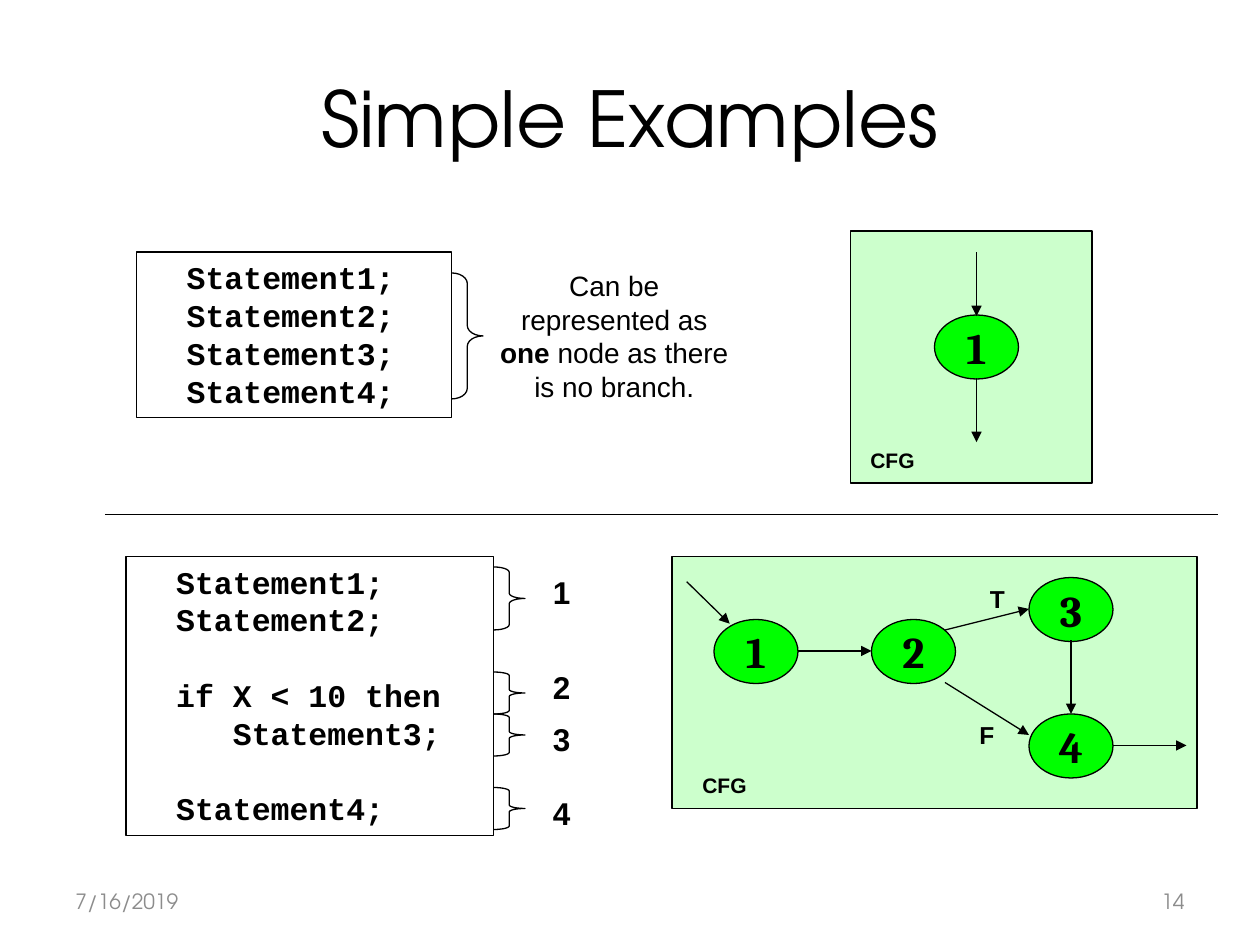
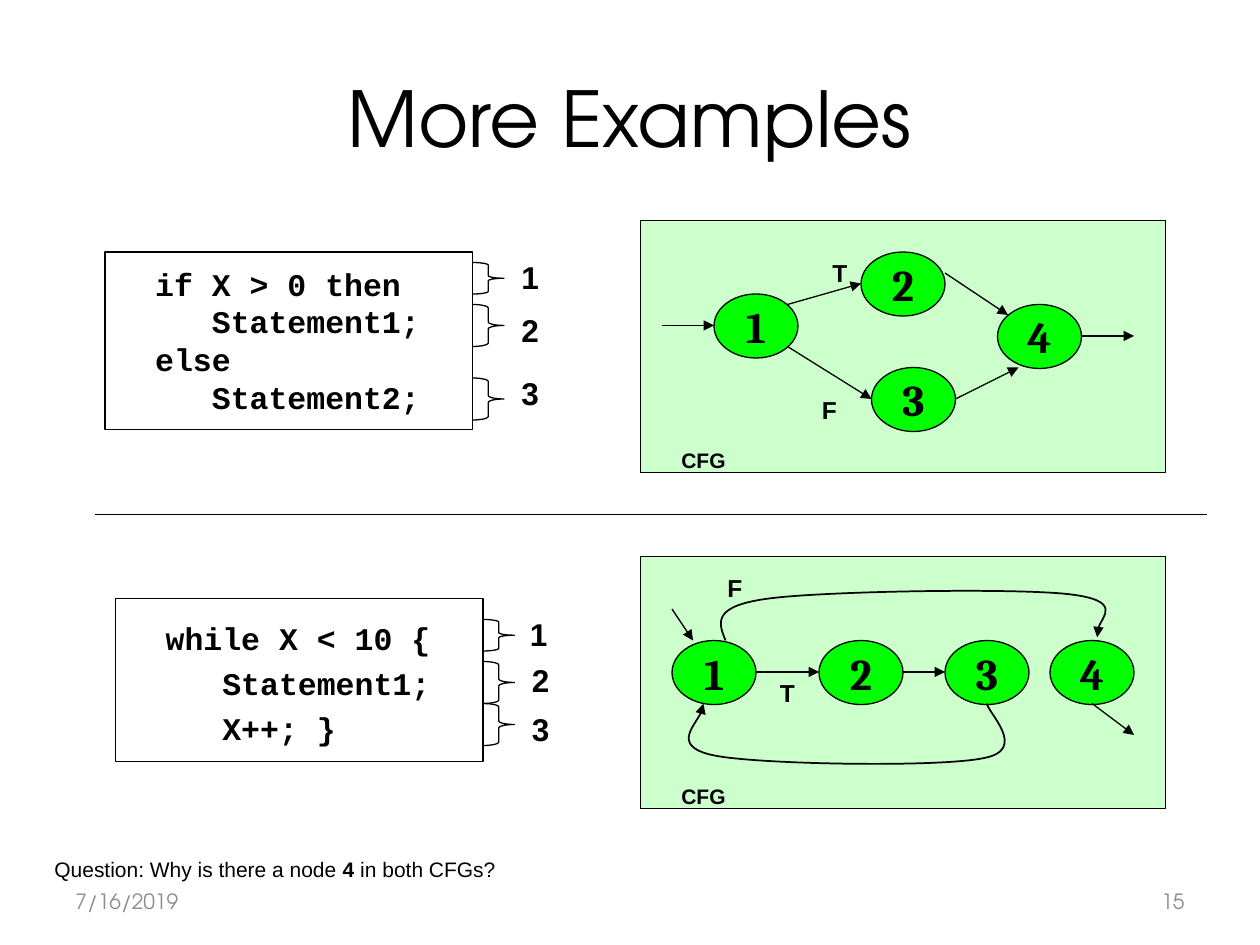
from dataclasses import dataclass, field
from typing import Any, NamedTuple

import lxml.etree
import pptx
import pptx.dml.color
import pptx.enum.shapes
import pptx.enum.text
import pptx.oxml.ns
import pptx.util

PX = 7620  # EMU, 120 px to the inch
qn = pptx.oxml.ns.qn
ALIGN = pptx.enum.text.PP_ALIGN
ANCHOR = pptx.enum.text.MSO_ANCHOR
SHAPE = pptx.enum.shapes.MSO_SHAPE


@dataclass(frozen=True)
class TextStyle:
    name: str
    size: int
    bold: bool = False
    color: str = "000000"


@dataclass(frozen=True)
class Theme:
    ink: str = "000000"
    panel: str = "CCFFCC"
    node: str = "00FF00"
    thin: float = 0.75
    thick: float = 1
    code_gap: float = 21.5
    title: TextStyle = TextStyle("TeX Gyre Adventor", 44)
    footer: TextStyle = TextStyle("TeX Gyre Adventor", 12, color="8C8C8C")
    code: TextStyle = TextStyle("Courier New", 18, True)
    node_text: TextStyle = TextStyle("Cambria", 25, True)
    block_number: TextStyle = TextStyle("Arial", 18, True)
    branch: TextStyle = TextStyle("Arial", 14, True)
    caption: TextStyle = TextStyle("Arial", 12, True)
    note: TextStyle = TextStyle("Arial", 16)
    question: TextStyle = TextStyle("Arial", 12)


THEME = Theme()
NODE_W, NODE_H = 80, 61
BRACE_W = 30


class Box(NamedTuple):
    x: int
    y: int
    w: int
    h: int


class Label(NamedTuple):
    text: str
    x: int
    y: int


class Arrow(NamedTuple):
    x1: int
    y1: int
    x2: int
    y2: int


class Brace(NamedTuple):
    y: int
    h: int


class Note(NamedTuple):
    """Text in runs; every second run is bold."""
    runs: list[str]
    box: Box
    style: TextStyle
    align: Any


@dataclass
class Code:
    box: Box
    lines: list[str]
    braces: list[Brace]
    numbers: list[Label] = field(default_factory=list)
    pad: int = 6
    spacing: float | None = None


@dataclass
class Graph:
    panel: Box
    caption: Label
    nodes: list[Label]
    arrows: list[Arrow]
    branches: list[Label] = field(default_factory=list)
    curves: list[list[tuple[int, int]]] = field(default_factory=list)


@dataclass
class Page:
    title: str
    number: int
    divider: Arrow
    codes: list[Code]
    graphs: list[Graph]
    note: Note


def rgb(color: str) -> pptx.dml.color.RGBColor:
    return pptx.dml.color.RGBColor.from_string(color)


def emu(values: Any) -> list[int]:
    return [v * PX for v in values]


def assign(obj: Any, values: dict[str, Any]) -> None:
    for name, value in values.items():
        setattr(obj, name, value)


def write(p: Any, text: str, style: TextStyle, bold: bool = False) -> None:
    r = p.add_run()
    r.text = text
    assign(r.font, {"name": style.name, "size": pptx.util.Pt(style.size),
                    "bold": style.bold or bold})
    r.font.color.rgb = rgb(style.color)


def outline(sp: Any, width: float, arrow: bool = False) -> None:
    sp.line.color.rgb = rgb(THEME.ink)
    sp.line.width = pptx.util.Pt(width)
    if arrow:
        ln = sp.element.find(".//" + qn("a:ln"))
        lxml.etree.SubElement(ln, qn("a:tailEnd"), type="triangle")


def add_shape(s: Any, kind: Any, box: Box, width: float, fill: str | None = None) -> Any:
    sp = s.shapes.add_shape(kind, *emu(box))
    sp.shadow.inherit = False
    if fill:
        sp.fill.solid()
        sp.fill.fore_color.rgb = rgb(fill)
    else:
        sp.fill.background()
    outline(sp, width)
    return sp


def add_text(s: Any, runs: list[str], box: Box, style: TextStyle,
             align: Any = ALIGN.CENTER, anchor: Any = ANCHOR.TOP) -> None:
    tf = s.shapes.add_textbox(*emu(box)).text_frame
    assign(tf, {"word_wrap": True, "vertical_anchor": anchor})
    p = tf.paragraphs[0]
    p.alignment = align
    for i, text in enumerate(runs):
        write(p, text, style, bold=i % 2 == 1)


def add_label(s: Any, label: Label, w: int, h: int, style: TextStyle) -> None:
    add_text(s, [label.text], Box(label.x, label.y, w, h), style)


def add_line(s: Any, line: Arrow, width: float, arrow: bool) -> None:
    cx = s.shapes.add_connector(pptx.enum.shapes.MSO_CONNECTOR.STRAIGHT, *emu(line))
    outline(cx, width, arrow)
    lxml.etree.SubElement(cx.element.spPr, qn("a:effectLst"))


def add_curve(s: Any, points: list[tuple[int, int]]) -> None:
    """Draw a Bezier arrow: a start point, then three points per curve."""
    start, *rest = [tuple(emu(point)) for point in points]
    builder = s.shapes.build_freeform(*start)
    builder.add_line_segments(rest, close=False)
    sp = builder.convert_to_shape()
    sp.shadow.inherit = False
    sp.fill.background()
    outline(sp, THEME.thick, arrow=True)
    trace = sp.element.find(".//" + qn("a:path"))
    for i, segment in enumerate(trace.findall(qn("a:lnTo"))):
        if i % 3 == 0:
            bezier = lxml.etree.SubElement(trace, qn("a:cubicBezTo"))
        bezier.append(segment[0])
        trace.remove(segment)


def add_code(s: Any, code: Code) -> None:
    """Draw a listing with its braces; an empty line becomes space before the next."""
    tf = add_shape(s, SHAPE.RECTANGLE, code.box, THEME.thin).text_frame
    assign(tf, {"word_wrap": True, "vertical_anchor": ANCHOR.TOP,
                "margin_top": code.pad * PX, "margin_bottom": code.pad * PX})
    p = tf.paragraphs[0]
    for i, line in enumerate(code.lines):
        if not line:
            continue
        if i:
            p = tf.add_paragraph()
            if not code.lines[i - 1]:
                p.space_before = pptx.util.Pt(THEME.code_gap)
        assign(p, {"alignment": ALIGN.LEFT, "line_spacing": code.spacing})
        write(p, line, THEME.code)
    for brace in code.braces:
        box = Box(code.box.x + code.box.w, brace.y, BRACE_W, brace.h)
        sp = add_shape(s, SHAPE.RIGHT_BRACE, box, THEME.thin)
        sp.adjustments[0] = brace.h / BRACE_W / 12
    for number in code.numbers:
        add_label(s, number, 50, 48, THEME.block_number)


def add_node(s: Any, node: Label) -> None:
    sp = add_shape(s, SHAPE.OVAL, Box(node.x, node.y, NODE_W, NODE_H),
                   THEME.thin, THEME.node)
    tf = sp.text_frame
    assign(tf, {"word_wrap": False, "vertical_anchor": ANCHOR.MIDDLE})
    p = tf.paragraphs[0]
    p.alignment = ALIGN.CENTER
    write(p, node.text, THEME.node_text)


def add_graph(s: Any, graph: Graph) -> None:
    add_shape(s, SHAPE.RECTANGLE, graph.panel, THEME.thick, THEME.panel)
    add_label(s, graph.caption, 80, 36, THEME.caption)
    for node in graph.nodes:
        add_node(s, node)
    for arrow in graph.arrows:
        add_line(s, arrow, THEME.thin, arrow=True)
    for branch in graph.branches:
        add_label(s, branch, 60, 40, THEME.branch)
    for curve in graph.curves:
        add_curve(s, curve)


def add_page(prs: Any, page: Page) -> None:
    s = prs.slides.add_slide(prs.slide_layouts[6])
    add_text(s, ["7/16/2019"], Box(60, 834, 280, 48), THEME.footer, ALIGN.LEFT, ANCHOR.MIDDLE)
    add_text(s, [str(page.number)], Box(860, 834, 280, 48), THEME.footer,
             ALIGN.RIGHT, ANCHOR.MIDDLE)
    add_text(s, [page.title], Box(60, 36, 1080, 150), THEME.title, anchor=ANCHOR.MIDDLE)
    for graph in page.graphs:
        add_graph(s, graph)
    for code in page.codes:
        add_code(s, code)
    add_line(s, page.divider, THEME.thick, arrow=False)
    add_text(s, *page.note)


SIMPLE = Page(
    "Simple Examples", 14, Arrow(100, 490, 1160, 490),
    codes=[
        Code(Box(130, 240, 300, 158), [f"  Statement{i};" for i in range(1, 5)],
             [Brace(260, 120)]),
        Code(Box(120, 530, 350, 266),
             ["  Statement1;", "  Statement2;", "", "  if X < 10 then",
              "     Statement3;", "", "  Statement4;"],
             [Brace(540, 60), Brace(640, 40), Brace(680, 40), Brace(750, 40)],
             [Label("1", 510, 540), Label("2", 510, 630),
              Label("3", 510, 680), Label("4", 510, 750)]),
    ],
    graphs=[
        Graph(Box(810, 220, 230, 240), Label("CFG", 810, 420), [Label("1", 890, 300)],
              [Arrow(930, 240, 930, 301), Arrow(930, 360, 930, 421)]),
        Graph(Box(640, 530, 500, 240), Label("CFG", 650, 730),
              [Label("1", 680, 590), Label("2", 830, 590),
               Label("3", 980, 550), Label("4", 980, 680)],
              [Arrow(654, 554, 695, 594), Arrow(760, 620, 830, 620),
               Arrow(900, 600, 980, 580), Arrow(900, 650, 980, 700),
               Arrow(1020, 610, 1020, 680), Arrow(1060, 710, 1130, 710)],
              [Label("T", 920, 550), Label("F", 910, 680)]),
    ],
    note=Note(["Can be represented as ", "one ", "node as there is no branch."],
              Box(460, 250, 250, 140), THEME.note, ALIGN.CENTER),
)

MORE = Page(
    "More Examples", 15, Arrow(90, 490, 1150, 490),
    codes=[
        Code(Box(100, 240, 350, 169),
             ["  if X > 0 then", "     Statement1;", "  else", "     Statement2;"],
             [Brace(250, 30), Brace(290, 40), Brace(360, 40)],
             [Label("1", 480, 240), Label("2", 480, 290), Label("3", 480, 350)], pad=12),
        Code(Box(110, 570, 350, 155),
             ["  while X < 10 {", "     Statement1;", "     X++; }"],
             [Brace(590, 30), Brace(630, 40), Brace(670, 40)],
             [Label("1", 488, 580), Label("2", 490, 624), Label("3", 490, 670)],
             pad=12, spacing=1.2),
    ],
    graphs=[
        Graph(Box(610, 210, 500, 240), Label("CFG", 630, 420),
              [Label("1", 680, 280), Label("2", 820, 240),
               Label("3", 830, 350), Label("4", 950, 290)],
              [Arrow(630, 310, 680, 310), Arrow(750, 290, 820, 270),
               Arrow(750, 330, 830, 380), Arrow(900, 260, 960, 300),
               Arrow(910, 380, 970, 350), Arrow(1030, 320, 1080, 320)],
              [Label("T", 770, 240), Label("F", 760, 370)]),
        Graph(Box(610, 530, 500, 240), Label("CFG", 630, 740),
              [Label("1", 640, 610), Label("2", 780, 610),
               Label("3", 900, 610), Label("4", 1000, 610)],
              [Arrow(640, 580, 660, 610), Arrow(720, 640, 780, 640),
               Arrow(860, 640, 900, 640), Arrow(1040, 670, 1080, 700)],
              [Label("T", 720, 640), Label("F", 670, 540)],
              [[(691, 610), (684, 593), (678, 577), (733, 570), (787, 563),
                (966, 560), (1018, 566), (1070, 572), (1040, 599), (1045, 607)],
               [(940, 670), (940, 678), (980, 714), (937, 722), (894, 731),
                (727, 728), (683, 720), (638, 712), (672, 680), (670, 670)]]),
    ],
    note=Note(["Question: Why is there a node ", "4 ", "in both CFGs?"],
              Box(40, 810, 510, 36), THEME.question, ALIGN.LEFT),
)


def main() -> None:
    prs = pptx.Presentation()
    assign(prs, {"slide_width": 1200 * PX, "slide_height": 900 * PX})
    for page in (SIMPLE, MORE):
        add_page(prs, page)
    prs.save("out.pptx")


if __name__ == "__main__":
    main()
